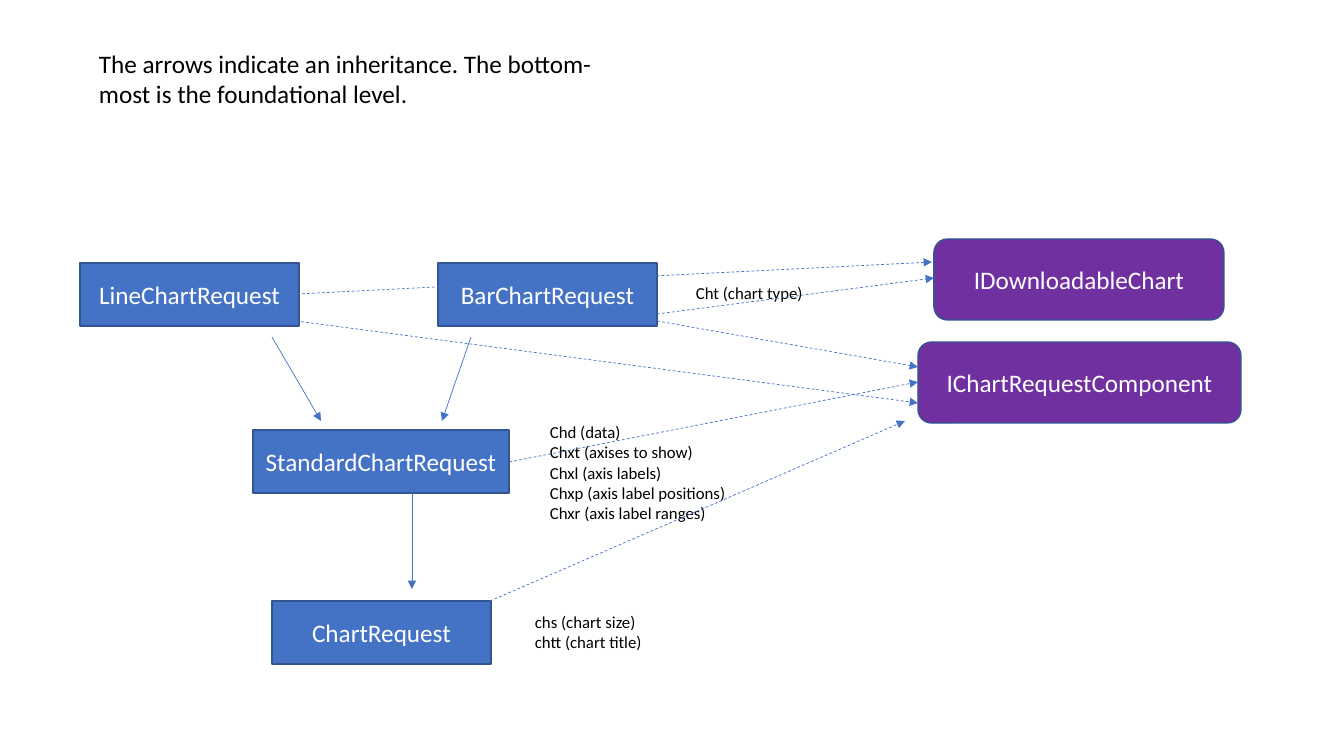
from dataclasses import dataclass

import pptx
import pptx.dml.color
import pptx.enum.dml
import pptx.enum.shapes
import pptx.enum.text
import pptx.oxml.ns
import pptx.oxml.xmlchemy
import pptx.util
from lxml import etree

SCALE = 914400 / 100.8  # EMU in one pixel

KIND = pptx.enum.shapes.MSO_SHAPE
ALIGN = pptx.enum.text.PP_ALIGN


@dataclass(frozen=True)
class Theme:
    """Colours, font and type sizes."""
    blue: str = "4472C4"
    edge: str = "325491"
    purple: str = "7030A0"
    white: str = "FFFFFF"
    black: str = "000000"
    font: str = "Calibri"
    large: int = 18
    small: int = 12
    border: float = 1
    thin: float = 0.5


@dataclass(frozen=True)
class Node:
    """A class or interface box."""
    name: str
    left: int
    top: int
    width: int
    height: int
    fill: str
    kind: KIND


@dataclass(frozen=True)
class Note:
    """Free text, one paragraph a line."""
    lines: tuple[str, ...]
    left: int
    top: int
    width: int
    height: int
    size: int


@dataclass(frozen=True)
class Arrow:
    """An arrow from one point to another."""
    start: tuple[int, int]
    end: tuple[int, int]
    dashed: bool = False


THEME = Theme()


def class_box(name: str, left: int, top: int, width: int = 219) -> Node:
    """Describe a class."""
    return Node(name, left, top, width, 63, THEME.blue, KIND.RECTANGLE)


def face_box(name: str, left: int, top: int, width: int) -> Node:
    """Describe an interface."""
    return Node(name, left, top, width, 81, THEME.purple, KIND.ROUNDED_RECTANGLE)


CLASSES = (
    class_box("ChartRequest", 272, 601),
    class_box("StandardChartRequest", 253, 430, 256),
    class_box("LineChartRequest", 80, 263),
    class_box("BarChartRequest", 438, 263),
)
PARENTS = (
    Arrow((412, 493), (412, 589)),
    Arrow((272, 337), (321, 421)),
    Arrow((471, 337), (442, 421)),
)
NOTES = (
    Note(("chs (chart size)", "chtt (chart title)"), 525, 607, 219, 50, THEME.small),
    Note(("Chd (data)", "Chxt (axises to show)", "Chxl (axis labels)",
          "Chxp (axis label positions)", "Chxr (axis label ranges)"),
         540, 417, 219, 112, THEME.small),
    Note(("Cht (chart type)",), 686, 278, 219, 30, THEME.small),
    Note(("The arrows indicate an inheritance. "
          "The bottom-most is the foundational level.",),
         89, 43, 523, 72, THEME.large),
)
FACES = (
    face_box("IDownloadableChart", 934, 239, 290),
    face_box("IChartRequestComponent", 918, 342, 323),
)
LINKS = (
    Arrow((490, 601), (905, 421), True),
    Arrow((509, 462), (918, 382), True),
    Arrow((657, 321), (918, 367), True),
    Arrow((296, 321), (918, 403), True),
    Arrow((297, 294), (932, 262), True),
    Arrow((657, 314), (934, 278), True),
)


def px(count: int) -> int:
    """Turn pixels into EMU."""
    return round(count * SCALE)


def rgb(code: str) -> pptx.dml.color.RGBColor:
    """Turn a hex code into a colour."""
    return pptx.dml.color.RGBColor.from_string(code)


def place(item: Node | Note) -> tuple[int, ...]:
    """Give left, top, width and height in EMU."""
    return tuple(map(px, (item.left, item.top, item.width, item.height)))


def write(frame, lines: tuple[str, ...], size: int, color: str, align: ALIGN) -> None:
    """Fill a text frame, one run to a paragraph."""
    frame.word_wrap = True
    for index, line in enumerate(lines):
        para = frame.add_paragraph() if index else frame.paragraphs[0]
        para.alignment = align
        run = para.add_run()
        run.text = line
        run.font.name = THEME.font
        run.font.size = pptx.util.Pt(size)
        run.font.color.rgb = rgb(color)


def draw_node(slide, node: Node) -> None:
    """Draw a box with its centred name."""
    shape = slide.shapes.add_shape(node.kind, *place(node))
    shape.shadow.inherit = False
    shape.fill.solid()
    shape.fill.fore_color.rgb = rgb(node.fill)
    shape.line.color.rgb = rgb(THEME.edge)
    shape.line.width = pptx.util.Pt(THEME.border)
    shape.text_frame.vertical_anchor = pptx.enum.text.MSO_ANCHOR.MIDDLE
    write(shape.text_frame, (node.name,), THEME.large, THEME.white, ALIGN.CENTER)


def draw_note(slide, note: Note) -> None:
    """Draw a text box."""
    frame = slide.shapes.add_textbox(*place(note)).text_frame
    write(frame, note.lines, note.size, THEME.black, ALIGN.LEFT)
    frame.auto_size = pptx.enum.text.MSO_AUTO_SIZE.SHAPE_TO_FIT_TEXT


def draw_arrow(slide, arrow: Arrow) -> None:
    """Draw a thin arrow, solid or dashed."""
    ends = map(px, arrow.start + arrow.end)
    link = slide.shapes.add_connector(pptx.enum.shapes.MSO_CONNECTOR.STRAIGHT, *ends)
    link.line.color.rgb = rgb(THEME.blue)
    link.line.width = pptx.util.Pt(THEME.thin)
    if arrow.dashed:
        link.line.dash_style = pptx.enum.dml.MSO_LINE.DASH
    qn = pptx.oxml.ns.qn
    props = link._element.spPr
    etree.SubElement(props.find(qn("a:ln")), qn("a:tailEnd"), type="triangle")
    etree.SubElement(props, qn("a:effectLst"))


def main() -> None:
    """Build and save the slide."""
    deck = pptx.Presentation()
    deck.slide_width, deck.slide_height = px(1344), px(756)
    slide = deck.slides.add_slide(deck.slide_layouts[6])
    layers = ((draw_node, CLASSES), (draw_arrow, PARENTS), (draw_note, NOTES),
              (draw_node, FACES), (draw_arrow, LINKS))
    for draw, items in layers:
        for item in items:
            draw(slide, item)
    deck.save("out.pptx")


main()
